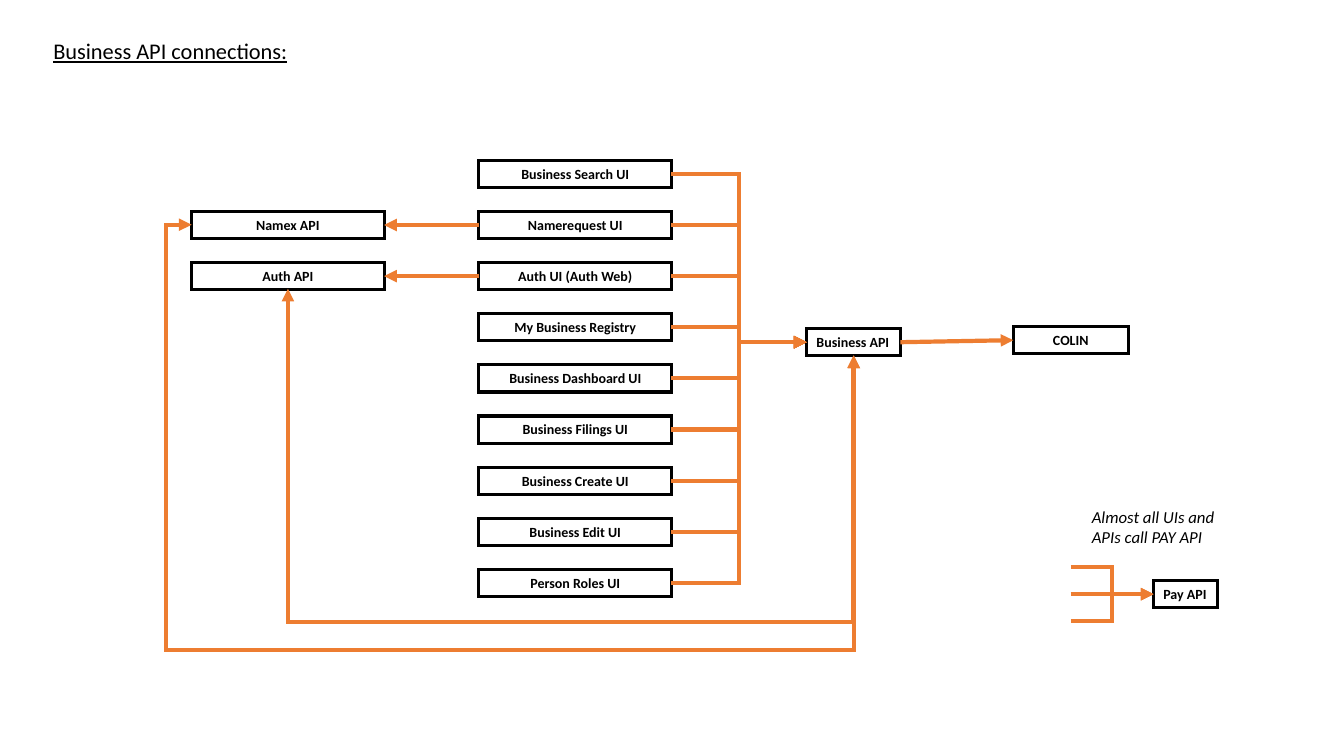
from lxml.etree import SubElement
from pptx import Presentation
from pptx.dml.color import RGBColor
from pptx.enum.shapes import MSO_CONNECTOR as LinkKind, MSO_SHAPE
from pptx.enum.text import MSO_AUTO_SIZE as AutoSize, MSO_ANCHOR, PP_ALIGN as Align
from pptx.oxml.ns import qn
from pptx.util import Pt

COLORS = {"paper": "FFFFFF", "ink": "000000", "flow": "ED7D31"}
EMU_PER_PX = 9144
TOP, LEFT, BOTTOM, RIGHT = range(4)


def px(length):
    return round(length * EMU_PER_PX)


def color(name):
    return RGBColor.from_string(COLORS[name])


def assign(target, values):
    for key, value in values.items():
        setattr(target, key, value)


class Diagram:
    """Draws boxes, notes and links on one slide in a shared style."""

    frame_format = {"auto_size": AutoSize.SHAPE_TO_FIT_TEXT,
                    "vertical_anchor": MSO_ANCHOR.TOP}
    box_font = {"size": Pt(10), "bold": True}

    def __init__(self, slide):
        self.shapes = slide.shapes

    def label(self, shape, text, font, align, wrap):
        frame = shape.text_frame
        assign(frame, {**self.frame_format, "word_wrap": wrap})
        paragraph = frame.paragraphs[0]
        paragraph.alignment = align
        run = paragraph.add_run()
        run.text = text
        assign(run.font, {"name": "Calibri", **font})
        run.font.color.rgb = color("ink")

    def stroke(self, shape, name, width):
        shape.line.color.rgb = color(name)
        shape.line.width = Pt(width)
        outline = shape.line._get_or_add_ln()
        SubElement(outline, qn("a:miter"), lim="800000")
        return outline

    def note(self, text, left, top, width, height, font, wrap=True):
        note = self.shapes.add_textbox(px(left), px(top), px(width), px(height))
        self.label(note, text, font, Align.LEFT, wrap)

    def box(self, text, left, top, width=191, align=Align.CENTER, wrap=True):
        box = self.shapes.add_shape(
            MSO_SHAPE.RECTANGLE, px(left), px(top), px(width), px(27))
        box.shadow.inherit = False
        box.fill.solid()
        box.fill.fore_color.rgb = color("paper")
        self.stroke(box, "ink", 2.25)
        self.label(box, text, self.box_font, align, wrap)
        return box

    def link(self, kind, end, start=None, point=(0, 0), both_ways=False):
        x, y = map(px, point)
        link = self.shapes.add_connector(kind, x, y, x, y)
        if start:
            link.begin_connect(*start)
        link.end_connect(*end)
        outline = self.stroke(link, "flow", 3)
        if both_ways:
            SubElement(outline, qn("a:headEnd"), type="triangle")
        SubElement(outline, qn("a:tailEnd"), type="triangle")
        SubElement(link._element.spPr, qn("a:effectLst"))
        return link

    def loop(self, start, end, preset, frame, transform, bends):
        loop = self.link(LinkKind.ELBOW, end, start, both_ways=True)
        assign(loop, dict(zip(("left", "top", "width", "height"), map(px, frame))))
        properties = loop._element.spPr
        for key, value in transform.items():
            properties.find(qn("a:xfrm")).set(key, value)
        geometry = properties.find(qn("a:prstGeom"))
        geometry.set("prst", preset)
        guides = geometry.find(qn("a:avLst"))
        for number, bend in enumerate(bends, 1):
            SubElement(guides, qn("a:gd"), name=f"adj{number}", fmla=f"val {bend}")


def main():
    deck = Presentation()
    assign(deck, {"slide_width": px(1333), "slide_height": px(750)})
    diagram = Diagram(deck.slides.add_slide(deck.slide_layouts[6]))

    diagram.note("Business API connections:", 43, 32, 255, 37,
                 {"size": Pt(16), "underline": True}, wrap=False)

    business = diagram.box("Business API", 800, 326, 93, Align.LEFT, wrap=False)
    colin = diagram.box("COLIN", 1005, 324, 114)
    diagram.link(LinkKind.STRAIGHT, (colin, LEFT), (business, RIGHT))

    ui_names = ["Business Search UI", "Namerequest UI", "Auth UI (Auth Web)",
                "My Business Registry", "Business Dashboard UI",
                "Business Filings UI", "Business Create UI", "Business Edit UI",
                "Person Roles UI"]
    first_top, pitch = 159, 50.75
    uis = [diagram.box(name, 475, first_top + pitch * row)
           for row, name in enumerate(ui_names)]
    for ui in uis:
        diagram.link(LinkKind.ELBOW, (business, LEFT), (ui, RIGHT))

    namex, auth = [diagram.box(name, 190, first_top + pitch * row)
                   for row, name in enumerate(["Namex API", "Auth API"], 1)]
    for api, ui in zip((namex, auth), uis[1:]):
        diagram.link(LinkKind.STRAIGHT, (api, RIGHT), (ui, LEFT))

    diagram.loop((auth, BOTTOM), (business, BOTTOM), "bentConnector3",
                 (533, 39, 66, 561), {"rot": "16200000", "flipH": "1", "flipV": "0"},
                 [501200])
    diagram.loop((namex, LEFT), (business, BOTTOM), "bentConnector4",
                 (190, 223, 657, 130), {"rot": "10800000", "flipH": "1", "flipV": "1"},
                 [-3800, 324600])

    pay = diagram.box("Pay API", 1144, 576, 64, Align.LEFT, wrap=False)
    kinds = [LinkKind.ELBOW, LinkKind.STRAIGHT, LinkKind.ELBOW]
    callers = [diagram.link(kind, (pay, LEFT), point=(1062, 562.5 + 27 * row))
               for row, kind in enumerate(kinds)]
    diagram.shapes.add_group_shape([pay, *callers])
    diagram.note("Almost all UIs and APIs call PAY API", 1073, 498, 142, 50,
                 {"size": Pt(12), "italic": True})

    deck.save("out.pptx")


if __name__ == "__main__":
    main()
